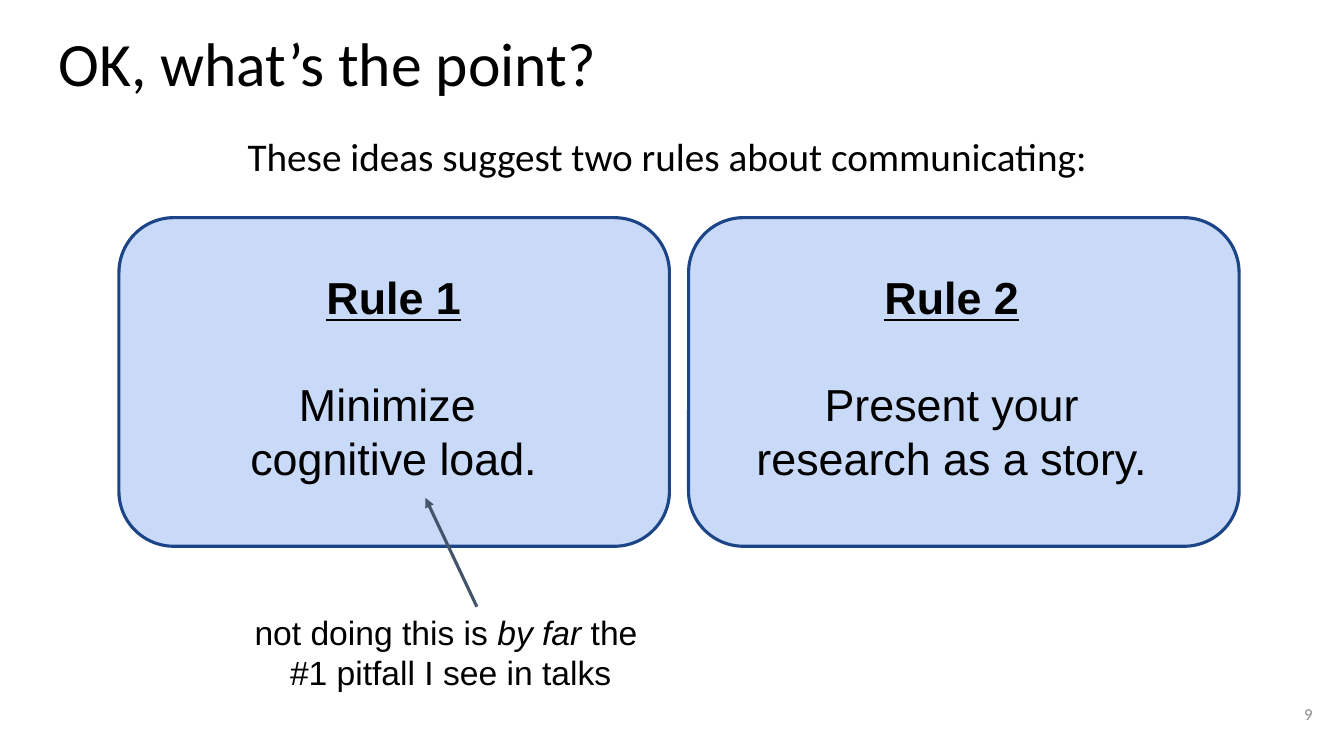
"""Build the slide that states two rules about communicating."""
from lxml import etree
from pptx import Presentation
from pptx.dml.color import RGBColor
from pptx.enum.shapes import MSO_CONNECTOR as Connector, MSO_SHAPE as Shape
from pptx.enum.text import MSO_ANCHOR as Anchor, MSO_AUTO_SIZE as AutoSize, PP_ALIGN as Align
from pptx.oxml.ns import qn
from pptx.util import Inches, Pt

COLORS = {"text": "000000", "card": "C9DAF8", "border": "1C4587",
          "arrow": "44546A", "number": "8C8C8C"}

TITLE = "OK, what’s the point?"
INTRO = "These ideas suggest two rules about communicating: "
RULES = [
    {"heading": "Rule 1", "lines": ["Minimize ", "cognitive load."],
     "text_box": (1.05, 2.55, 5.71, 2.6)},
    {"heading": "Rule 2", "lines": ["Present your", "research as a story."],
     "text_box": (7.3, 2.55, 4.28, 2.49)},
]
CAPTION = [[("not doing this is ", False), ("by far", True), (" the ", False)],
           [("#1 pitfall I see in talks", False)]]
SLIDE_NUMBER = "9"

CARD_LEFT, CARD_TOP, CARD_WIDTH, CARD_HEIGHT, CARD_GAP = 1.18, 2.16, 5.46, 3.26, 0.19
ARROW = (4.73, 6.02, 4.22, 4.94)


def color(name):
    return RGBColor.from_string(COLORS[name])


def prepare_frame(shape, box, anchor=Anchor.TOP):
    shape.left, shape.top, shape.width, shape.height = map(Inches, box)
    frame = shape.text_frame
    frame.word_wrap = True
    frame.auto_size = AutoSize.NONE
    frame.vertical_anchor = anchor
    frame.margin_left = frame.margin_right = Inches(0.13)
    frame.margin_top = frame.margin_bottom = Inches(0.13)
    return frame


def add_text_box(slide, box, anchor=Anchor.TOP):
    return prepare_frame(slide.shapes.add_textbox(*map(Inches, box)), box, anchor)


def add_run(paragraph, text, size, font="Arial", tint="text"):
    run = paragraph.add_run()
    run.text = text
    run.font.name = font
    run.font.size = Pt(size)
    run.font.color.rgb = color(tint)
    return run


def fill_placeholder(shape, box, text, size, align):
    paragraph = prepare_frame(shape, box).paragraphs[0]
    properties = paragraph._p.get_or_add_pPr()
    properties.set("marL", "0")
    properties.set("indent", "0")
    etree.SubElement(properties, qn("a:buNone"))
    paragraph.alignment = align
    paragraph.line_spacing = 0.9
    paragraph.space_before = Pt(0)
    add_run(paragraph, text, size, "Calibri")


def add_rule(slide, index, rule):
    left = CARD_LEFT + index * (CARD_WIDTH + CARD_GAP)
    card = slide.shapes.add_shape(
        Shape.ROUNDED_RECTANGLE, *map(Inches, (left, CARD_TOP, CARD_WIDTH, CARD_HEIGHT)))
    card.adjustments[0] = 0.167
    card.shadow.inherit = False
    card.fill.solid()
    card.fill.fore_color.rgb = color("card")
    card.line.color.rgb = color("border")
    card.line.width = Pt(2.25)

    frame = add_text_box(slide, rule["text_box"])
    heading = frame.paragraphs[0]
    heading.alignment = Align.CENTER
    run = add_run(heading, rule["heading"], 32)
    run.font.bold = run.font.underline = True
    body = frame.add_paragraph()
    body.alignment = Align.CENTER
    body.space_before = Pt(38)
    for number, line in enumerate(rule["lines"]):
        if number:
            body.add_line_break()
        add_run(body, line, 32)


def add_arrow(slide):
    arrow = slide.shapes.add_connector(Connector.STRAIGHT, *map(Inches, ARROW))
    arrow.line.color.rgb = color("arrow")
    arrow.line.width = Pt(2.25)
    etree.SubElement(arrow.line._get_or_add_ln(), qn("a:tailEnd"), type="triangle")
    etree.SubElement(arrow._element.spPr, qn("a:effectLst"))


def add_caption(slide):
    paragraph = add_text_box(slide, (1.65, 5.94, 5.64, 1.26)).paragraphs[0]
    paragraph.alignment = Align.CENTER
    for number, line in enumerate(CAPTION):
        if number:
            paragraph.add_line_break()
        for text, italic in line:
            add_run(paragraph, text, 24).font.italic = italic


def add_slide_number(slide):
    frame = add_text_box(slide, (12.35, 6.8, 0.8, 0.57), Anchor.MIDDLE)
    paragraph = frame.paragraphs[0]
    paragraph.alignment = Align.RIGHT
    add_run(paragraph, SLIDE_NUMBER, 12, "Calibri", "number")


def main():
    presentation = Presentation()
    presentation.slide_width = Inches(13.33)
    presentation.slide_height = Inches(7.5)
    slide = presentation.slides.add_slide(presentation.slide_layouts[1])
    title, intro = slide.placeholders
    fill_placeholder(title, (0.45, 0.2, 12.42, 0.84), TITLE, 44, Align.LEFT)
    fill_placeholder(intro, (0.45, 1.24, 12.42, 0.92), INTRO, 28, Align.CENTER)
    for index, rule in enumerate(RULES):
        add_rule(slide, index, rule)
    add_arrow(slide)
    add_caption(slide)
    add_slide_number(slide)
    presentation.save("out.pptx")


if __name__ == "__main__":
    main()
